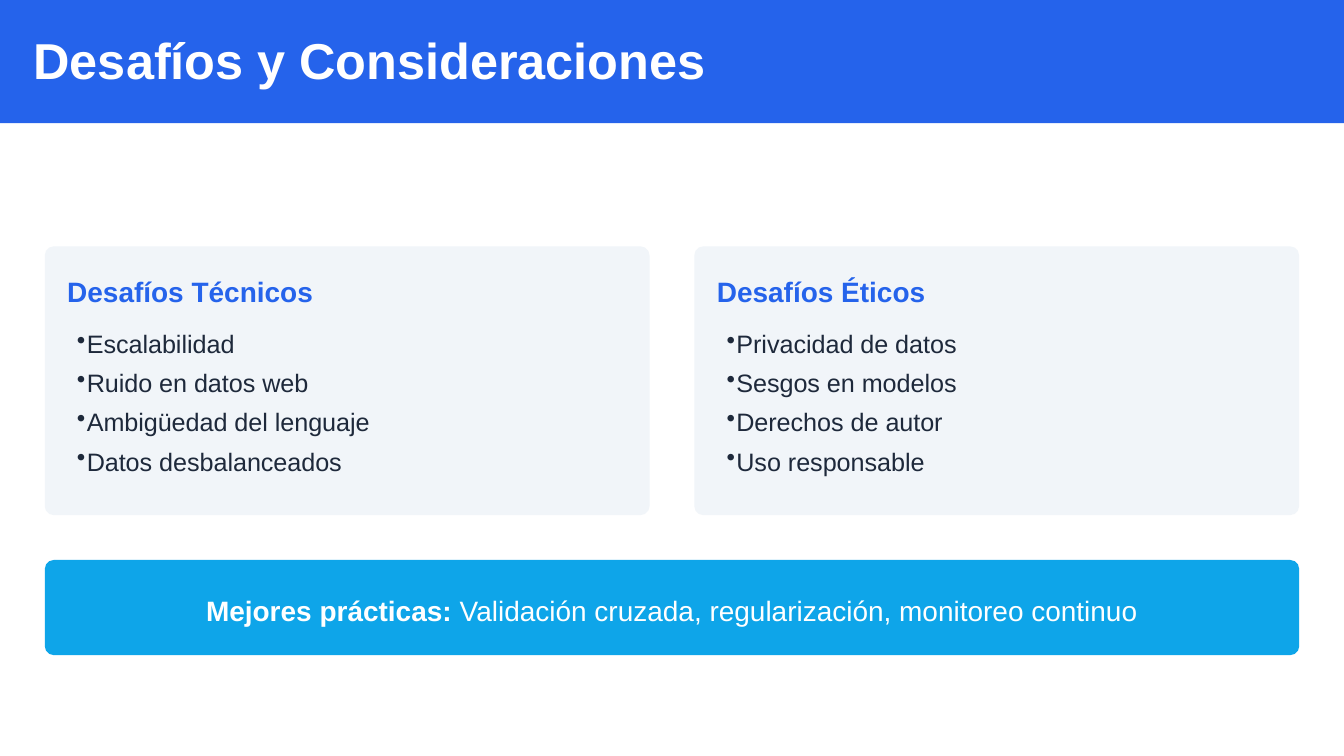
import pptx
import pptx.util
import pptx.dml.color
import pptx.enum.shapes
import pptx.enum.text
import pptx.oxml.ns
import lxml.etree

TITLE = "Desafíos y Consideraciones"
CARDS = [
    ("Desafíos Técnicos", ["Escalabilidad", "Ruido en datos web",
                           "Ambigüedad del lenguaje", "Datos desbalanceados"]),
    ("Desafíos Éticos", ["Privacidad de datos", "Sesgos en modelos",
                         "Derechos de autor", "Uso responsable"]),
]
TIP = [("Mejores prácticas:", True),
       (" Validación cruzada, regularización, monitoreo continuo", False)]

BLUE, SKY, PALE, INK, WHITE = "2563EB", "0EA5E9", "F1F5F9", "1E293B", "FFFFFF"
WIDE, HIGH, EDGE, GAP, PAD = 960, 540, 32, 32, 16
CARD_W, CARD_H, CARD_Y = (WIDE - 2 * EDGE - GAP) // 2, 192, 176
TIP_Y, TIP_H, ROUND = 400, 68, 6.4
SHAPE = pptx.enum.shapes.MSO_SHAPE
ALIGN = pptx.enum.text.PP_ALIGN


def px(size):
    return pptx.util.Emu(round(size * 9525))


def color(code):
    return pptx.dml.color.RGBColor.from_string(code)


def place(item, left, top, width, height):
    item.left, item.top, item.width, item.height = map(px, (left, top, width, height))


def panel(slide, box, fill, kind=SHAPE.ROUNDED_RECTANGLE):
    shape = slide.shapes.add_shape(kind, *map(px, box))
    shape.shadow.inherit = False
    shape.fill.solid()
    shape.fill.fore_color.rgb = color(fill)
    shape.line.fill.background()
    if kind == SHAPE.ROUNDED_RECTANGLE:
        shape.adjustments[0] = ROUND / min(box[2:])
    return shape


def bullet(para, indent):
    props = para._p.get_or_add_pPr()
    props.set("marL", str(px(indent)))
    props.set("indent", str(px(-indent)))
    mark = lxml.etree.SubElement(props, pptx.oxml.ns.qn("a:buChar"))
    mark.set("char", "•")


def write(item, paras, box, size, tint, lead, align=ALIGN.LEFT,
          before=0, after=0, inset=0, dots=0):
    place(item, *box)
    frame = item.text_frame
    frame.word_wrap = True
    frame.auto_size = pptx.enum.text.MSO_AUTO_SIZE.NONE
    frame.vertical_anchor = pptx.enum.text.MSO_ANCHOR.TOP
    frame.margin_left = px(inset)
    frame.margin_top = frame.margin_right = frame.margin_bottom = 0
    for i, runs in enumerate(paras):
        para = frame.add_paragraph() if i else frame.paragraphs[0]
        para.alignment = align
        para.line_spacing = pptx.util.Pt(lead)
        para.space_before = pptx.util.Pt(before)
        para.space_after = pptx.util.Pt(after)
        if dots:
            bullet(para, dots)
        for words, bold in runs:
            run = para.add_run()
            run.text = words
            run.font.name = "Arial"
            run.font.size = pptx.util.Pt(size)
            run.font.bold = bold
            run.font.color.rgb = color(tint)


def label(slide, paras, box, *args, **style):
    write(slide.shapes.add_textbox(0, 0, 0, 0), paras, box, *args, **style)


def main():
    deck = pptx.Presentation()
    deck.slide_width, deck.slide_height = px(WIDE), px(HIGH)
    slide = deck.slides.add_slide(deck.slide_layouts[5])

    bar = panel(slide, (0, 0, WIDE, 88), BLUE, SHAPE.RECTANGLE)
    title = slide.shapes.title
    title.element.addprevious(bar.element)
    write(title, [[(TITLE, True)]], (24, 24, 490, 40), 27, WHITE, 30)

    for i, (head, items) in enumerate(CARDS):
        left = EDGE + i * (CARD_W + GAP)
        panel(slide, (left, CARD_Y, CARD_W, CARD_H), PALE)
        inner = CARD_W - 2 * PAD
        label(slide, [[(head, True)]], (left + PAD, CARD_Y + PAD, inner, 28),
              15, BLUE, 21, after=6)
        label(slide, [[(item, False)] for item in items],
              (left + PAD, CARD_Y + 52, inner, 124),
              13.5, INK, 21, inset=7, dots=7)

    panel(slide, (EDGE, TIP_Y, WIDE - 2 * EDGE, TIP_H), SKY)
    label(slide, [TIP], (EDGE + 8, TIP_Y + 20, WIDE - 2 * EDGE - 16, 28),
          15, WHITE, 21, align=ALIGN.CENTER, before=3, after=3)

    deck.save("out.pptx")


if __name__ == "__main__":
    main()
